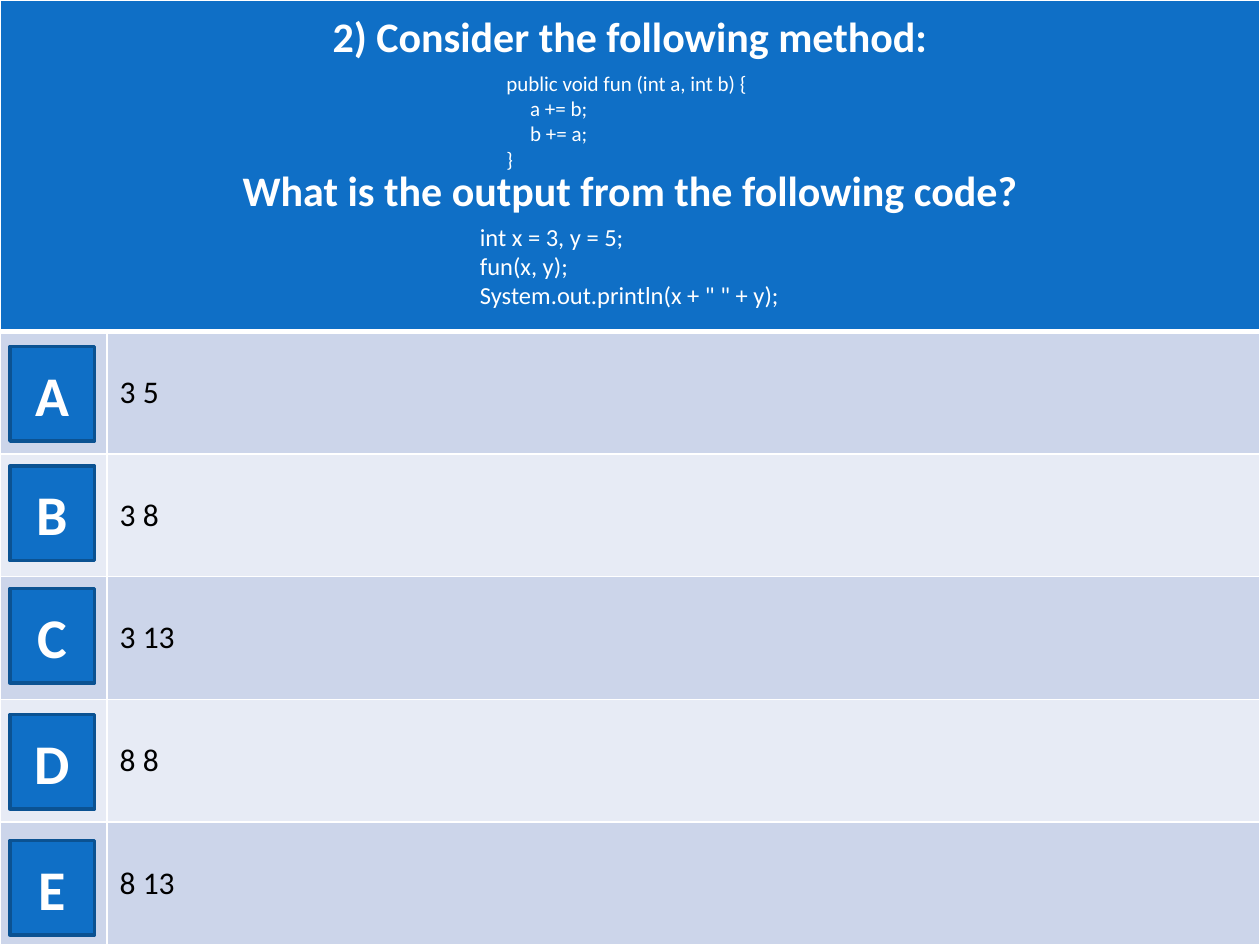
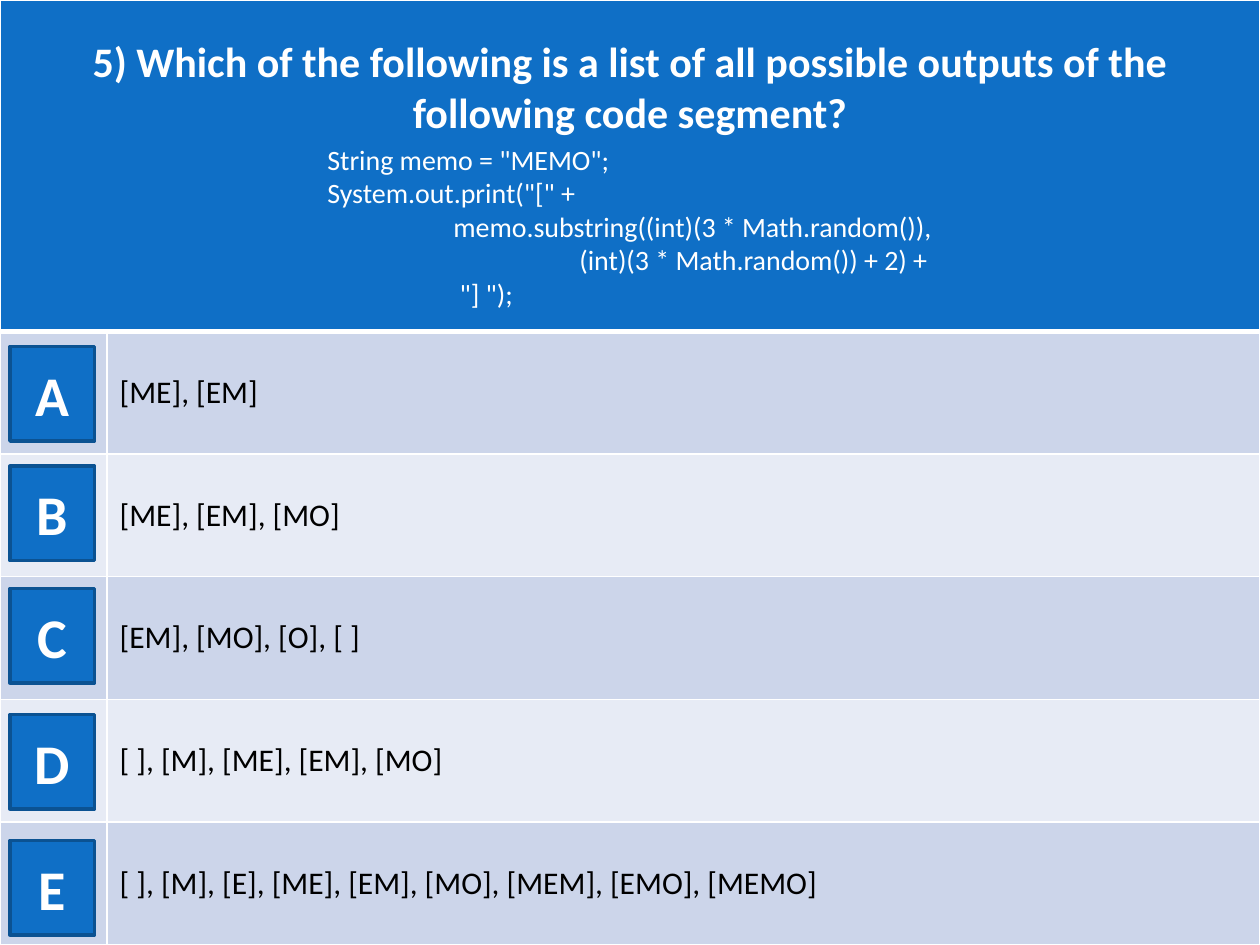
from lxml import etree
from pptx import Presentation
from pptx import util as u
from pptx.dml.color import RGBColor
from pptx.enum import shapes, text
from pptx.oxml.ns import qn

BLUE, EDGE, WHITE, BLACK = "0F6FC6", "0B5292", "FFFFFF", "000000"
BANDS = ["CCD5EA", "E7EBF5"]
BACKGROUND = "DBF5F9"
WIDTH, HEIGHT = 10, 7.5
LETTER_COL, HEADER_ROW = 0.85, 2.63
ANSWER_ROW = (HEIGHT - HEADER_ROW) / 5
BUTTON_TOPS = {"A": 2.75, "B": 3.7, "C": 4.67, "D": 5.67, "E": 6.67}
CENTER, LEFT = text.PP_ALIGN.CENTER, text.PP_ALIGN.LEFT

# Code lines are (indent in inches, text).
QUIZ = [
    dict(
        questions=["2) Consider the following method:",
                   "What is the output from the following code?"],
        header_top=0.1,
        code=[
            dict(box=(3.92, 0.51, 2.17, 0.91), size=12, lines=[
                (0, "public void fun (int a, int b) {"),
                (0.19, "a += b;"),
                (0.19, "b += a;"),
                (0, "}")]),
            dict(box=(3.71, 1.71, 2.58, 0.81), size=14, lines=[
                (0, "int x = 3, y = 5;"),
                (0, "fun(x, y);"),
                (0, 'System.out.println(x + " " + y);')]),
        ],
        answers=["3 5", "3 8", "3 13", "8 8", "8 13"],
    ),
    dict(
        questions=["5) Which of the following is a list of all possible outputs "
                   "of the following code segment?"],
        header_top=0.3,
        code=[
            dict(box=(2.5, 1.08, 5.01, 1.45), size=16, lines=[
                (0, 'String memo = "MEMO";'),
                (0, 'System.out.print("[" +'),
                (1, "memo.substring((int)(3 * Math.random()),"),
                (2, "(int)(3 * Math.random()) + 2) +"),
                (1.05, '"] ");')]),
        ],
        answers=["[ME], [EM]", "[ME], [EM], [MO]", "[EM], [MO], [O], [ ]",
                 "[ ], [M], [ME], [EM], [MO]",
                 "[ ], [M], [E], [ME], [EM], [MO], [MEM], [EMO], [MEMO]"],
    ),
]


def rgb(color):
    return RGBColor.from_string(color)


def write(tf, lines, size, color, bold=False, align=LEFT, gap=0):
    """Write (indent, text) lines as paragraphs, gap points apart."""
    for i, (indent, line) in enumerate(lines):
        p = tf.add_paragraph() if i else tf.paragraphs[0]
        p.alignment = align
        if i and gap:
            p.space_before = u.Pt(gap)
        if indent:
            p._p.get_or_add_pPr().set("marL", str(u.Inches(indent)))
        r = p.add_run()
        r.text = line
        for name, value in dict(name="Calibri", size=u.Pt(size), bold=bold).items():
            setattr(r.font, name, value)
        r.font.color.rgb = rgb(color)


prs = Presentation()
prs.slide_width, prs.slide_height = u.Inches(WIDTH), u.Inches(HEIGHT)

for quiz in QUIZ:
    s = prs.slides.add_slide(prs.slide_layouts[6])
    s.background.fill.solid()
    s.background.fill.fore_color.rgb = rgb(BACKGROUND)

    # Question header above five banded answer rows
    table = s.shapes.add_table(6, 2, 0, 0, prs.slide_width, prs.slide_height).table
    for col, width in zip(table.columns, [LETTER_COL, WIDTH - LETTER_COL]):
        col.width = u.Inches(width)
    for i, row in enumerate(table.rows):
        row.height = u.Inches(ANSWER_ROW if i else HEADER_ROW)
        for cell in row.cells:
            tcPr = cell._tc.get_or_add_tcPr()
            for side in "LRTB":
                thick = (i, side) in [(0, "B"), (1, "T")]
                ln = etree.SubElement(tcPr, qn(f"a:ln{side}"), w=str(u.Pt(3 if thick else 1)))
                fill = etree.SubElement(ln, qn("a:solidFill"))
                etree.SubElement(fill, qn("a:srgbClr"), val=WHITE)
            cell.fill.solid()
            cell.fill.fore_color.rgb = rgb(BANDS[(i - 1) % 2] if i else BLUE)
            cell.vertical_anchor = text.MSO_ANCHOR.MIDDLE

    header = table.cell(0, 0)
    header.merge(table.cell(0, 1))
    header.vertical_anchor = text.MSO_ANCHOR.TOP
    header.margin_top = u.Inches(quiz["header_top"])
    write(header.text_frame, [(0, q) for q in quiz["questions"]], 24, WHITE, True, CENTER, gap=58.6)
    for i, answer in enumerate(quiz["answers"], 1):
        write(table.cell(i, 1).text_frame, [(0, answer)], 18, BLACK)

    for code in quiz["code"]:
        tf = s.shapes.add_textbox(*map(u.Inches, code["box"])).text_frame
        tf.word_wrap = True
        tf.margin_right = 0
        write(tf, code["lines"], code["size"], WHITE)

    for letter, top in BUTTON_TOPS.items():
        sp = s.shapes.add_shape(shapes.MSO_SHAPE.ACTION_BUTTON_CUSTOM,
                                *map(u.Inches, (0.08, top, 0.67, 0.75)))
        sp.shadow.inherit = False
        sp.fill.solid()
        sp.fill.fore_color.rgb = rgb(BLUE)
        sp.line.color.rgb = rgb(EDGE)
        sp.line.width = u.Pt(2)
        sp.text_frame.vertical_anchor = text.MSO_ANCHOR.MIDDLE
        write(sp.text_frame, [(0, letter)], 32, WHITE, True, CENTER)

prs.save("out.pptx")
